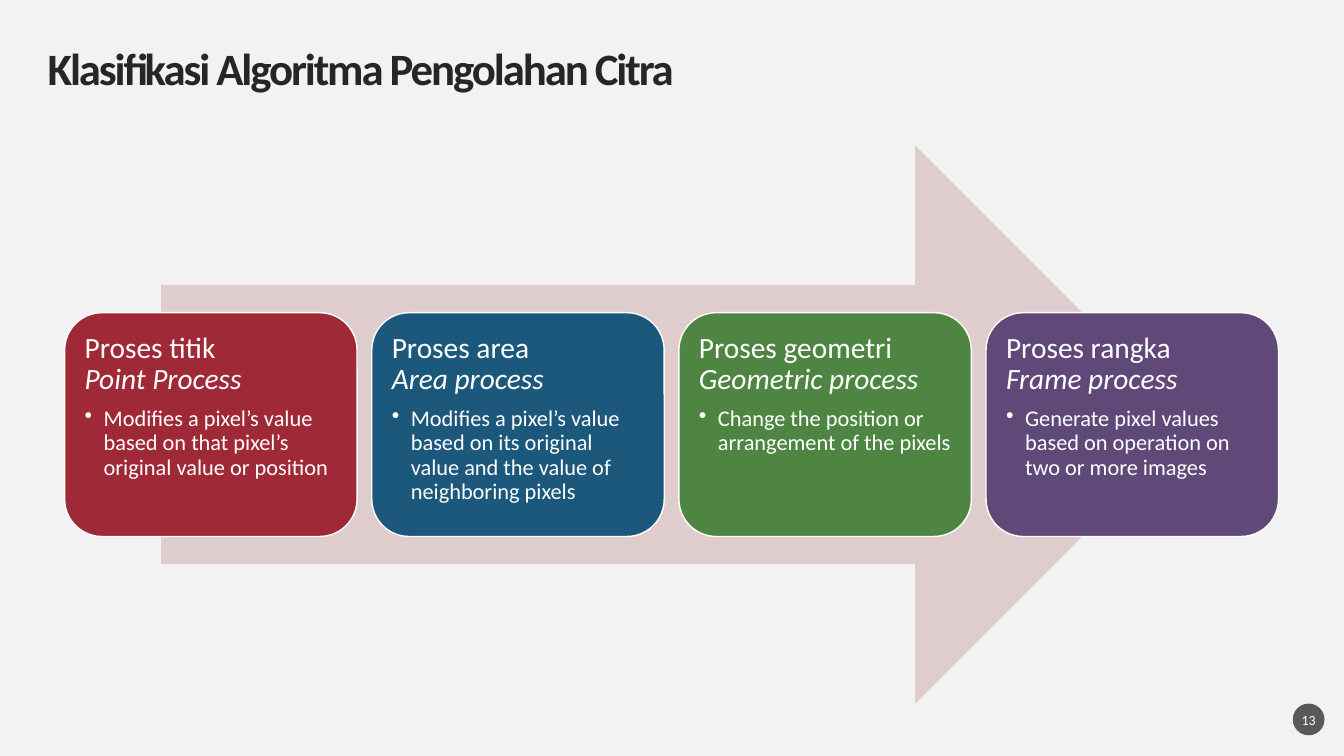
import pptx
import pptx.util
import pptx.dml.color
import pptx.enum.shapes
import pptx.enum.text
import pptx.oxml.ns
import lxml.etree

Cm = pptx.util.Cm
Pt = pptx.util.Pt
SHAPES = pptx.enum.shapes.MSO_SHAPE
ALIGN = pptx.enum.text.PP_ALIGN
ANCHOR = pptx.enum.text.MSO_ANCHOR


def color(hex_value):
    return pptx.dml.color.RGBColor.from_string(hex_value)


def add_run(paragraph, text, size, hex_value, bold=False, italic=False):
    run = paragraph.add_run()
    run.text = text
    run.font.name = "Calibri"
    run.font.size = Pt(size)
    run.font.color.rgb = color(hex_value)
    run.font.bold = bold
    run.font.italic = italic
    return run


presentation = pptx.Presentation()
presentation.slide_width = Cm(33.87)
presentation.slide_height = Cm(19.05)
slide = presentation.slides.add_slide(presentation.slide_layouts[5])
slide.background.fill.solid()
slide.background.fill.fore_color.rgb = color("F2F2F2")

# Title
title = slide.shapes.title
title.left, title.top, title.width, title.height = Cm(1.2), Cm(1.2), Cm(31.47), Cm(1.2)
frame = title.text_frame
frame.margin_left = frame.margin_right = frame.margin_top = frame.margin_bottom = 0
frame.vertical_anchor = ANCHOR.MIDDLE
frame.auto_size = pptx.enum.text.MSO_AUTO_SIZE.NONE
paragraph = frame.paragraphs[0]
paragraph.alignment = ALIGN.LEFT
paragraph.line_spacing = 0.9
run = add_run(paragraph, "Klasifikasi Algoritma Pengolahan Citra", 32, "262626", bold=True)
run.font._element.set("spc", "-150")

# Slide number badge
badge = slide.shapes.add_shape(SHAPES.OVAL, Cm(32.58), Cm(17.73), Cm(0.8), Cm(0.8))
badge.shadow.inherit = False
badge.fill.solid()
badge.fill.fore_color.rgb = color("595959")
badge.line.fill.background()
frame = badge.text_frame
frame.margin_left = frame.margin_right = frame.margin_top = frame.margin_bottom = 0
frame.vertical_anchor = ANCHOR.MIDDLE
frame.word_wrap = False
frame.paragraphs[0].alignment = ALIGN.CENTER
add_run(frame.paragraphs[0], "13", 10, "FFFFFF")

# Arrow behind the cards
arrow = slide.shapes.add_shape(SHAPES.RIGHT_ARROW, Cm(4.06), Cm(3.66), Cm(26.04), Cm(14.07))
arrow.shadow.inherit = False
arrow.fill.solid()
arrow.fill.fore_color.rgb = color("DFCDCE")
arrow.line.fill.background()

# Process cards
processes = [
    ("Proses titik", "Point Process", "9F2936",
     "Modifies a pixel’s value based on that pixel’s original value or position"),
    ("Proses area", "Area process", "1B587C",
     "Modifies a pixel’s value based on its original value and the value of neighboring pixels"),
    ("Proses geometri", "Geometric process", "4E8542",
     "Change the position or arrangement of the pixels"),
    ("Proses rangka", "Frame process", "604878",
     "Generate pixel values based on operation on two or more images"),
]
for index, (name, english_name, fill, description) in enumerate(processes):
    card = slide.shapes.add_shape(
        SHAPES.ROUNDED_RECTANGLE, Cm(1.63 + index * 7.74), Cm(7.88), Cm(7.37), Cm(5.64))
    card.shadow.inherit = False
    card.fill.solid()
    card.fill.fore_color.rgb = color(fill)
    card.line.color.rgb = color("FFFFFF")
    card.line.width = Pt(1)
    frame = card.text_frame
    frame.word_wrap = True
    frame.vertical_anchor = ANCHOR.TOP
    frame.margin_left = frame.margin_right = frame.margin_top = frame.margin_bottom = Cm(0.23)

    heading = frame.paragraphs[0]
    heading.alignment = ALIGN.LEFT
    heading.line_spacing = 0.9
    heading.space_after = Pt(8)
    add_run(heading, name, 21, "FFFFFF")
    heading.add_line_break()
    add_run(heading, english_name, 21, "FFFFFF", italic=True)

    # Bulleted description with a hanging indent
    bullet = frame.add_paragraph()
    bullet.level = 1
    bullet.alignment = ALIGN.LEFT
    bullet.line_spacing = 0.9
    properties = bullet._p.get_or_add_pPr()
    properties.set("marL", str(Cm(0.48)))
    properties.set("indent", str(-Cm(0.48)))
    lxml.etree.SubElement(properties, pptx.oxml.ns.qn("a:buChar")).set("char", "•")
    add_run(bullet, description, 16, "FFFFFF")

presentation.save("out.pptx")
